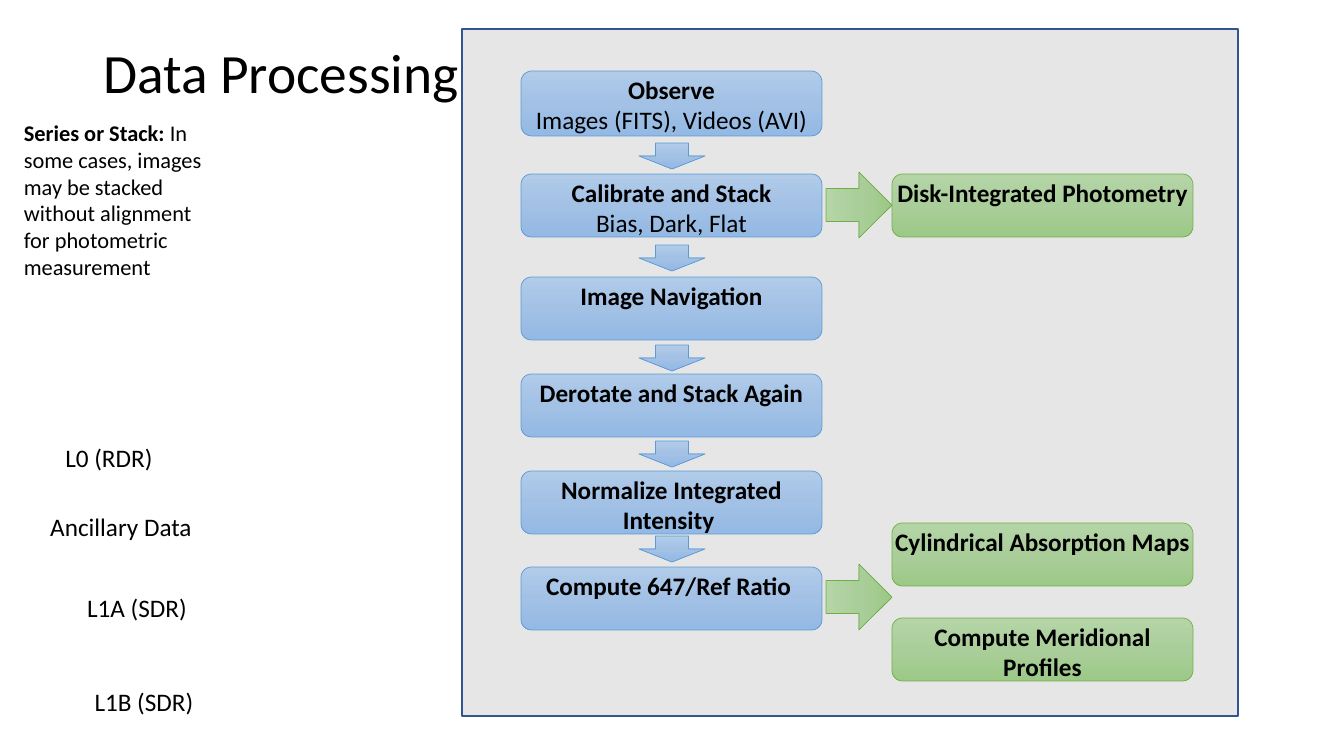
from copy import deepcopy

from pptx import Presentation
from pptx.dml.color import RGBColor
from pptx.enum.shapes import MSO_SHAPE
from pptx.enum.text import MSO_ANCHOR, PP_ALIGN
from pptx.util import Pt

RECTANGLE = MSO_SHAPE.RECTANGLE
ROUNDED = MSO_SHAPE.ROUNDED_RECTANGLE
DOWN_ARROW = MSO_SHAPE.DOWN_ARROW
TOP, MIDDLE = MSO_ANCHOR.TOP, MSO_ANCHOR.MIDDLE
LEFT, CENTER = PP_ALIGN.LEFT, PP_ALIGN.CENTER

EMU_PER_PIXEL = 914400 / 100.8
FONT = "Calibri"
COLORS = {"text": "000000", "panel": "E7E6E6", "panel_line": "325491",
          "step_line": "5B9BD5", "product_line": "70AD47"}
GRADIENTS = {"step": ("B1CBE9", "A3C1E5", "93B9E4"),
             "product": ("B5D5A7", "AACE9A", "9CC987")}

BOX_WIDTH, BOX_HEIGHT = 301, 63
STEP_LEFT, PRODUCT_LEFT = 521, 892
ARROW_SIZE, DOWN_HEIGHT = 66, 26
DOWN_LEFT = STEP_LEFT + (BOX_WIDTH - ARROW_SIZE) // 2 + 1

STEPS = [
    (71, 65, ["Observe", "Images (FITS), Videos (AVI)"]),
    (174, BOX_HEIGHT, ["Calibrate and Stack", "Bias, Dark, Flat"]),
    (277, BOX_HEIGHT, ["Image Navigation"]),
    (374, BOX_HEIGHT, ["Derotate and Stack Again"]),
    (471, BOX_HEIGHT, ["Normalize Integrated Intensity "]),
    (567, BOX_HEIGHT, ["Compute 647/Ref Ratio "]),
]
DOWN_ARROW_TOPS = [143, 245, 345, 441, 536]
PRODUCTS = [
    (174, "Disk-Integrated Photometry"),
    (523, "Cylindrical Absorption Maps"),
    (618, "Compute Meridional Profiles"),
]
PRODUCT_ARROW_TOPS = [172, 564]
LEVELS = [
    (2, 437, "L0 (RDR)"),
    (14, 506, "Ancillary Data"),
    (30, 587, "L1A (SDR)"),
    (37, 681, "L1B (SDR)"),
]
STACKING_NOTE = [
    ("Series or Stack: ", True),
    ("In some cases, images may be stacked without alignment "
     "for photometric measurement", False),
]


def px(*lengths):
    """Turn pixel lengths into EMU."""
    return [round(length * EMU_PER_PIXEL) for length in lengths]


def rgb(name):
    """Look up a named colour."""
    return RGBColor.from_string(COLORS[name])


def write(frame, paragraphs, size, align, anchor=TOP):
    """Fill a text frame with paragraphs of (text, bold) runs."""
    frame.word_wrap = True
    frame.vertical_anchor = anchor
    for index, runs in enumerate(paragraphs):
        paragraph = frame.paragraphs[0] if index == 0 else frame.add_paragraph()
        paragraph.alignment = align
        for text, bold in runs:
            run = paragraph.add_run()
            run.text = text
            run.font.name = FONT
            run.font.size = Pt(size)
            run.font.bold = bold
            run.font.color.rgb = rgb("text")


def add_title(slide, text):
    """Place and format the title placeholder."""
    title = slide.shapes.title
    title.left, title.top, title.width, title.height = px(93, 40, 665, 72)
    write(title.text_frame, [[(text, False)]], 39.6, LEFT, MIDDLE)
    title.text_frame.paragraphs[0].line_spacing = 0.9


def add_panel(slide):
    """Draw the grey panel behind everything else."""
    panel = slide.shapes.add_shape(RECTANGLE, *px(462, 29, 776, 687))
    panel.shadow.inherit = False
    panel.fill.solid()
    panel.fill.fore_color.rgb = rgb("panel")
    panel.line.color.rgb = rgb("panel_line")
    panel.line.width = Pt(1)
    slide.shapes.element.insert(2, panel.element)


def add_gradient_shape(slide, preset, bounds, role):
    """Draw a preset shape with the three-stop gradient of its role."""
    shape = slide.shapes.add_shape(preset, *px(*bounds))
    shape.shadow.inherit = False
    shape.fill.gradient()
    shape.fill.gradient_angle = 270
    first_stop = shape.element.xpath(".//a:gs")[0]
    middle_stop = deepcopy(first_stop)
    middle_stop.set("pos", "50000")
    first_stop.addnext(middle_stop)
    for stop, color in zip(shape.fill.gradient_stops, GRADIENTS[role]):
        stop.color.rgb = RGBColor.from_string(color)
    shape.line.color.rgb = rgb(role + "_line")
    shape.line.width = Pt(0.5)
    return shape


def add_box(slide, bounds, lines, role):
    """Draw a rounded box whose first line is bold."""
    box = add_gradient_shape(slide, ROUNDED, bounds, role)
    frame = box.text_frame
    frame.margin_left = frame.margin_top = 0
    frame.margin_right = frame.margin_bottom = 0
    paragraphs = [[(line, index == 0)] for index, line in enumerate(lines)]
    write(frame, paragraphs, 18, CENTER)


def add_label(slide, bounds, runs, size, align):
    """Add a one-paragraph text box."""
    label = slide.shapes.add_textbox(*px(*bounds))
    write(label.text_frame, [runs], size, align)


def main():
    """Build the data processing slide."""
    deck = Presentation()
    deck.slide_width, deck.slide_height = px(1344, 756)
    slide = deck.slides.add_slide(deck.slide_layouts[5])

    add_title(slide, "Data Processing ")
    add_panel(slide)
    add_label(slide, (14, 114, 214, 225), STACKING_NOTE, 16, LEFT)
    for left, top, level in LEVELS:
        add_label(slide, (left, top, 214, 41), [(level, False)], 18, CENTER)

    for top, height, lines in STEPS:
        add_box(slide, (STEP_LEFT, top, BOX_WIDTH, height), lines, "step")
    for top, product in PRODUCTS:
        bounds = (PRODUCT_LEFT, top, BOX_WIDTH, BOX_HEIGHT)
        add_box(slide, bounds, [product], "product")

    for top in DOWN_ARROW_TOPS:
        bounds = (DOWN_LEFT, top, ARROW_SIZE, DOWN_HEIGHT)
        add_gradient_shape(slide, DOWN_ARROW, bounds, "step")
    for top in PRODUCT_ARROW_TOPS:
        bounds = (PRODUCT_LEFT - ARROW_SIZE, top, ARROW_SIZE, ARROW_SIZE)
        arrow = add_gradient_shape(slide, DOWN_ARROW, bounds, "product")
        arrow.rotation = 270

    deck.save("out.pptx")


main()
